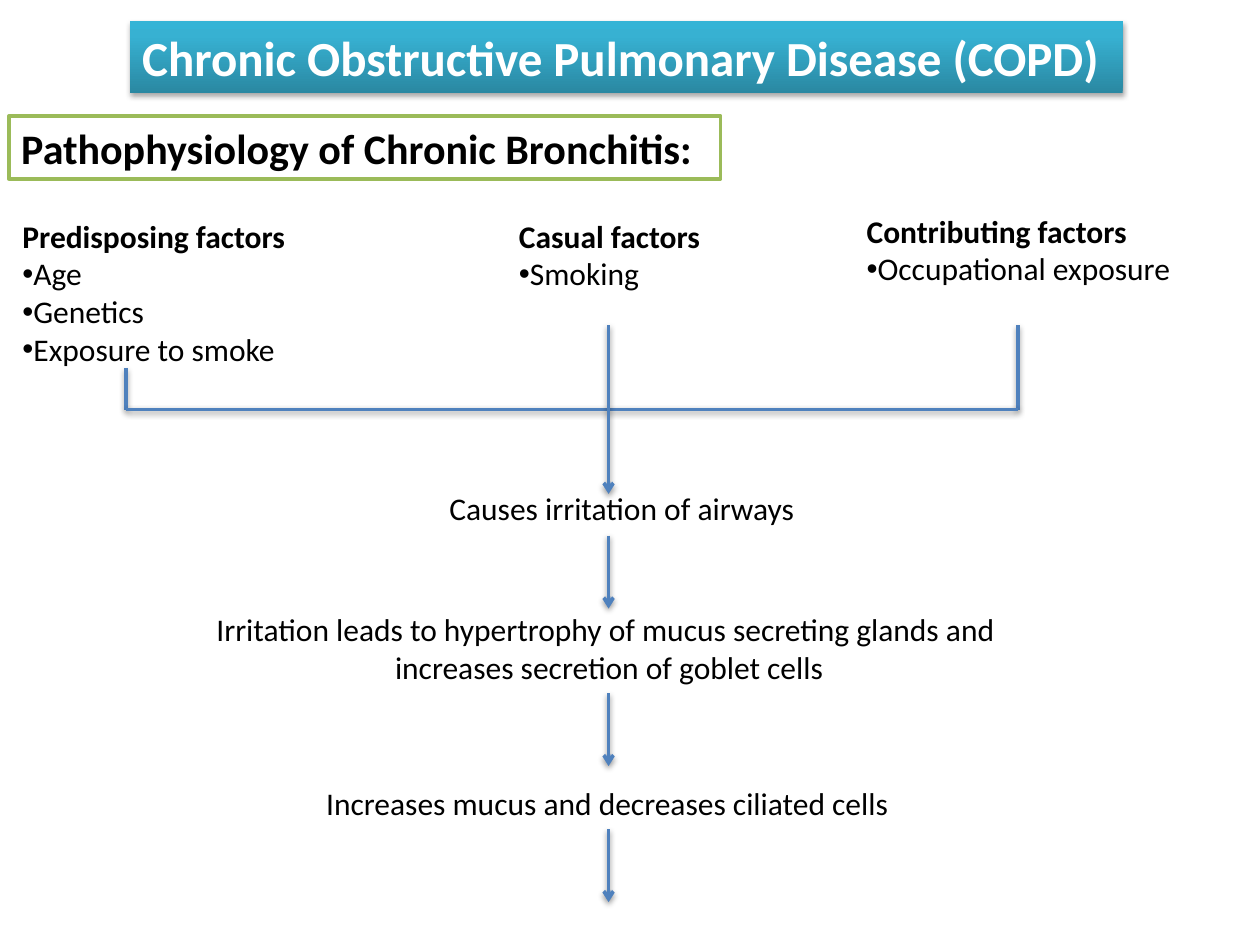
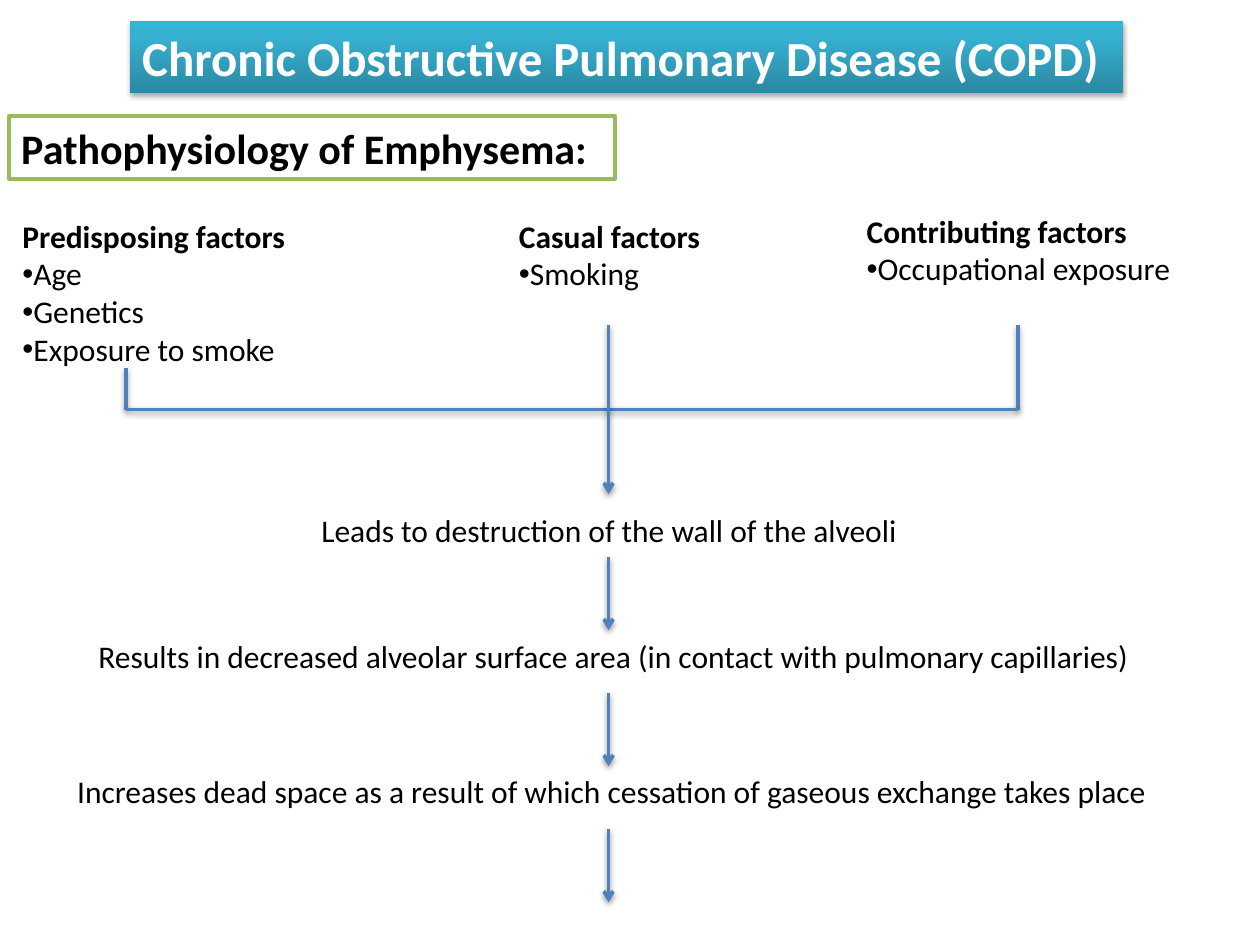
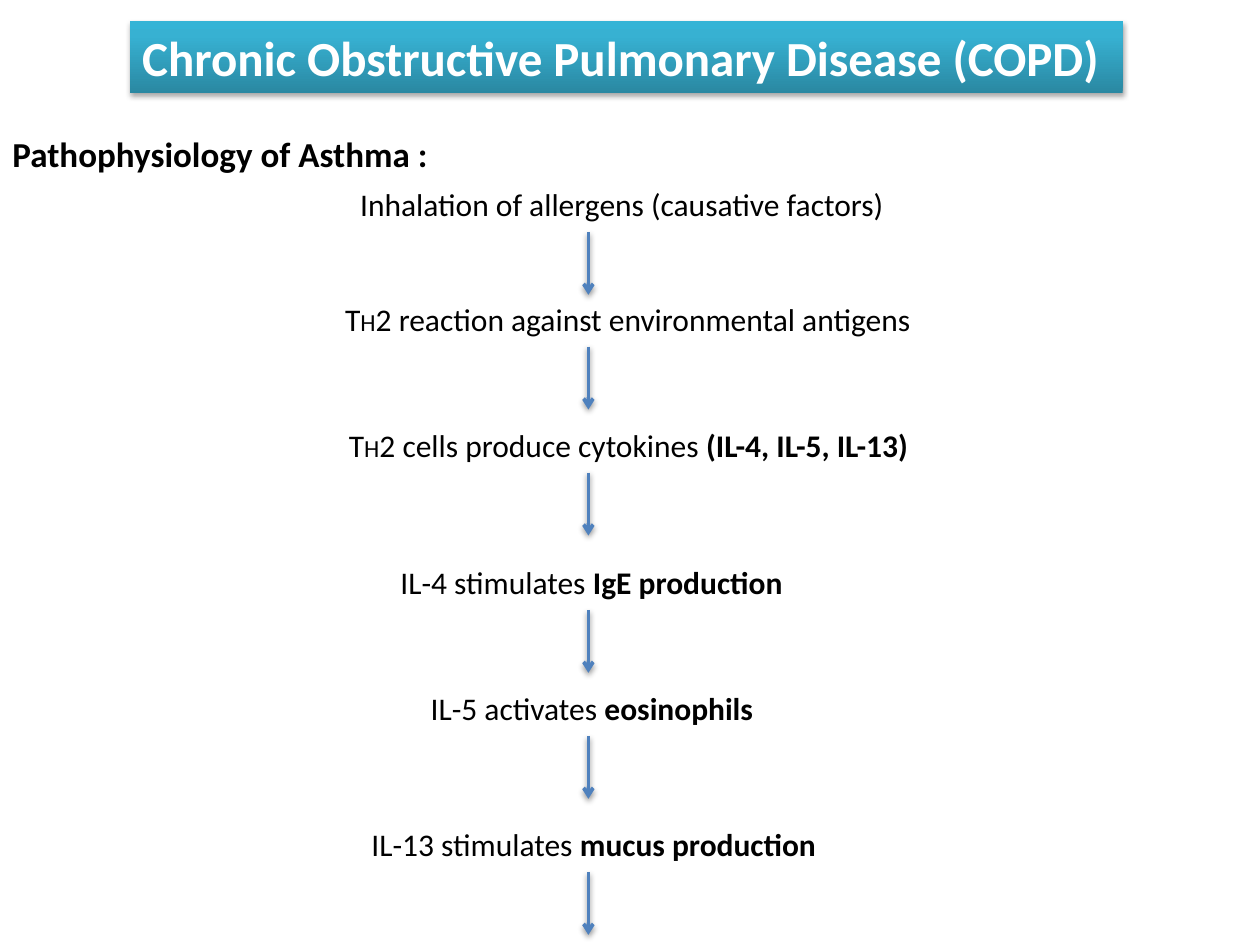
import pptx
import pptx.dml.color
import pptx.enum.shapes
import pptx.enum.text
import pptx.oxml
import pptx.oxml.ns
import pptx.util
from pptx.util import Inches

COLORS = {
    "text": "000000",
    "white": "FFFFFF",
    "arrow": "4F81BD",
    "frame": "9BBB59",
    "band_bottom": "2A88A2",
    "band_middle": "37B1D2",
    "band_top": "34B4D6",
}
FONT = "Calibri"
BODY_SIZE = 18
SMALL_CAP_SIZE = 14
DISEASE = "Chronic Obstructive Pulmonary Disease (COPD)"

# Factor columns: left, top, width, height, heading, items
FACTORS = [
    (0.08, 1.67, 2.3, 1.31, "Predisposing factors", ["Age", "Genetics", "Exposure to smoke"]),
    (4.02, 1.67, 1.65, 0.71, "Casual factors", ["Smoking"]),
    (6.78, 1.63, 2.64, 0.71, "Contributing factors", ["Occupational exposure"]),
]


def rgb(name):
    return pptx.dml.color.RGBColor.from_string(COLORS[name])


def add_xml(parent, tag, attributes="", content=""):
    space = 'xmlns:a="http://schemas.openxmlformats.org/drawingml/2006/main"'
    element = pptx.oxml.parse_xml(f"<a:{tag} {space} {attributes}>{content}</a:{tag}>")
    parent.append(element)
    return element


class Deck:
    """Holds the style and the current slide."""

    def __init__(self):
        self.prs = pptx.Presentation()
        self.prs.slide_width, self.prs.slide_height = Inches(10), Inches(7.5)
        self.slide = None

    def new_slide(self):
        self.slide = self.prs.slides.add_slide(self.prs.slide_layouts[6])
        self.title_band()

    def shadow(self, shape, opacity, distance):
        properties = shape._element.spPr
        effects = properties.find(pptx.oxml.ns.qn("a:effectLst"))
        if effects is None:
            effects = add_xml(properties, "effectLst")
        add_xml(effects, "outerShdw",
                f'blurRad="40000" dist="{distance}" dir="5400000" rotWithShape="0"',
                f'<a:srgbClr val="{COLORS["text"]}"><a:alpha val="{opacity}000"/></a:srgbClr>')

    def fill_text(self, shape, paragraphs, size=BODY_SIZE, color="text", bold=False,
                  center=False, bullets=False):
        """A paragraph is a list of runs: plain text, or (text, bold, size).

        With bullets, the first paragraph is a bold heading.
        """
        frame = shape.text_frame
        frame.word_wrap = False
        frame.auto_size = pptx.enum.text.MSO_AUTO_SIZE.SHAPE_TO_FIT_TEXT
        frame.vertical_anchor = pptx.enum.text.MSO_ANCHOR.TOP
        align = pptx.enum.text.PP_ALIGN
        for i, runs in enumerate(paragraphs):
            paragraph = frame.add_paragraph() if i else frame.paragraphs[0]
            paragraph.alignment = align.CENTER if center else align.LEFT
            if bullets and i:
                properties = paragraph._p.get_or_add_pPr()
                add_xml(properties, "buFont", 'typeface="Arial"')
                add_xml(properties, "buChar", 'char="•"')
            font = paragraph.font
            font.name, font.size = FONT, pptx.util.Pt(size)
            font.bold = bold or (bullets and i == 0)
            font.color.rgb = rgb(color)
            for part in runs:
                run = paragraph.add_run()
                if isinstance(part, str):
                    run.text = part
                else:
                    run.text, run.font.bold, run_size = part
                    run.font.size = pptx.util.Pt(run_size)

    def text(self, left, top, width, paragraphs, height=0.4, **style):
        box = self.slide.shapes.add_textbox(Inches(left), Inches(top), Inches(width), Inches(height))
        self.fill_text(box, paragraphs, **style)

    def box(self, left, top, width, height):
        box = self.slide.shapes.add_shape(
            pptx.enum.shapes.MSO_SHAPE.RECTANGLE,
            Inches(left), Inches(top), Inches(width), Inches(height))
        box.shadow.inherit = False
        return box

    def title_band(self):
        band = self.box(1.03, 0.17, 7.88, 0.57)
        band.line.fill.background()
        stops = [(0, "band_bottom"), (80, "band_middle"), (100, "band_top")]
        stop_xml = "".join(f'<a:gs pos="{position}000"><a:srgbClr val="{COLORS[name]}"/></a:gs>'
                           for position, name in stops)
        properties = band._element.spPr
        gradient = add_xml(properties, "gradFill", 'rotWithShape="1"',
                           f'<a:gsLst>{stop_xml}</a:gsLst><a:lin ang="16200000" scaled="0"/>')
        properties.find(pptx.oxml.ns.qn("a:prstGeom")).addnext(gradient)
        self.shadow(band, 35, 23000)
        self.fill_text(band, [[DISEASE]], size=28, color="white", bold=True)

    def framed_heading(self, heading, width):
        frame = self.box(0.07, 0.92, width, 0.5)
        frame.fill.solid()
        frame.fill.fore_color.rgb = rgb("white")
        frame.line.color.rgb = rgb("frame")
        frame.line.width = pptx.util.Pt(2)
        self.fill_text(frame, [[heading]], size=24, bold=True)

    def line(self, x1, y1, x2, y2, arrow=False):
        line = self.slide.shapes.add_connector(
            pptx.enum.shapes.MSO_CONNECTOR.STRAIGHT, Inches(x1), Inches(y1), Inches(x2), Inches(y2))
        line.line.color.rgb = rgb("arrow")
        line.line.width = pptx.util.Pt(2)
        if arrow:
            add_xml(line._element.spPr.find(pptx.oxml.ns.qn("a:ln")), "tailEnd", 'type="arrow"')
        self.shadow(line, 38, 20000)

    def down_arrow(self, x, top, length):
        self.line(x, top, x, top + length, arrow=True)

    def factor_flow(self, heading, heading_width, first_arrow_top, steps):
        """Three factor columns joined into one chain of effects."""
        self.new_slide()
        for left, top, width, height, title, items in FACTORS:
            self.text(left, top, width, [[words] for words in [title, *items]], height, bullets=True)
        left_x, stem_x, right_x, join_y = 1, 4.83, 8.08, 3.25
        self.line(right_x, 2.58, right_x, join_y)
        self.line(left_x, 2.92, left_x, join_y)
        self.line(left_x, join_y, right_x, join_y)
        self.down_arrow(stem_x, 2.58, 1.34)
        for top in (first_arrow_top, 5.5, 6.58):
            self.down_arrow(stem_x, top, 0.58)
        for left, top, width, height, lines in steps:
            self.text(left, top, width, [[words] for words in lines], height, center=True)
        self.framed_heading(heading, heading_width)


def main():
    deck = Deck()

    # Chronic bronchitis
    deck.factor_flow("Pathophysiology of Chronic Bronchitis:", 5.65, 4.25, [
        (3.45, 3.83, 2.97, 0.4, ["Causes irritation of airways"]),
        (1.58, 4.79, 6.51, 0.71, ["Irritation leads to hypertrophy of mucus secreting glands and ",
                                  "increases secretion of goblet cells"]),
        (2.46, 6.17, 4.72, 0.4, ["Increases mucus and decreases ciliated cells"]),
    ])

    # Emphysema
    deck.factor_flow("Pathophysiology of Emphysema:", 4.81, 4.42, [
        (2.42, 4.01, 4.83, 0.4, ["Leads to destruction of the wall of the alveoli"]),
        (0.67, 5.01, 8.4, 0.4,
         ["Results in decreased alveolar surface area (in contact with pulmonary capillaries)"]),
        (0.46, 6.08, 8.79, 0.4,
         ["Increases dead space as a result of which cessation of gaseous exchange takes place"]),
    ])

    # Asthma: each step is followed by an arrow
    deck.new_slide()
    deck.text(0, 1, 3.59, [["Pathophysiology of Asthma :"]], 0.44, size=20, bold=True)
    helper = ["T", ("H", False, SMALL_CAP_SIZE)]
    asthma_steps = [
        (2.76, 1.42, 4.41, ["Inhalation of allergens (causative factors)"], ""),
        (2.64, 2.33, 4.78, [*helper, "2 reaction against environmental antigens"], ""),
        (2.67, 3.33, 4.72, [*helper, "2 cells produce cytokines "], "(IL-4, IL-5, IL-13)"),
        (3.08, 4.42, 3.26, ["IL-4 stimulates "], "IgE production"),
        (3.32, 5.42, 2.76, ["IL-5 activates "], "eosinophils"),
        (2.85, 6.5, 3.74, ["IL-13 stimulates "], "mucus production"),
    ]
    for left, top, width, runs, key_term in asthma_steps:
        strong = [(key_term, True, BODY_SIZE)] if key_term else []
        deck.text(left, top, width, [runs + strong])
        deck.down_arrow(4.67, top + 0.42, 0.5)

    deck.prs.save("out.pptx")


if __name__ == "__main__":
    main()
